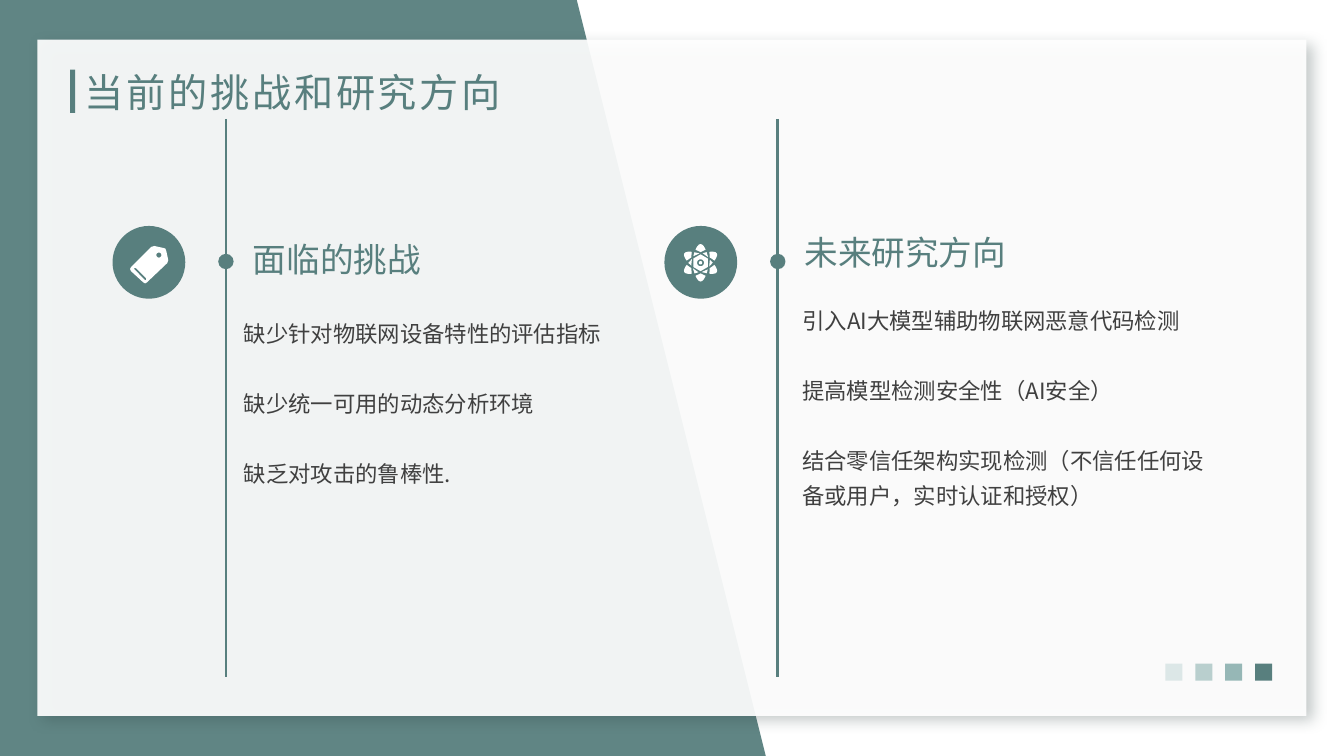
from dataclasses import dataclass
from math import cos, pi, sin

from lxml.etree import SubElement
from pptx import Presentation
from pptx.dml.color import RGBColor
from pptx.enum.shapes import MSO_CONNECTOR, MSO_SHAPE
from pptx.enum.text import MSO_ANCHOR
from pptx.oxml.ns import qn
from pptx.shapes.autoshape import Shape
from pptx.slide import Slide
from pptx.util import Pt

TEAL = RGBColor(0x58, 0x7F, 0x7E)
WHITE = RGBColor(0xFF, 0xFF, 0xFF)
DARK_GRAY = RGBColor(0x40, 0x40, 0x40)
SHADOW = RGBColor(0x2C, 0x40, 0x3F)
SQUARE_COLORS = (RGBColor(0xDC, 0xE7, 0xE7), RGBColor(0xB9, 0xCF, 0xCE),
                 RGBColor(0x96, 0xB7, 0xB6), TEAL)
FONT = "Noto Sans CJK SC"

Point = tuple[float, float]
Contour = list[Point]


@dataclass
class Section:
    """One timeline column; lengths are in points."""
    axis_x: float
    heading: str
    heading_box: tuple[float, float, float, float]
    items: list[str]
    items_box: tuple[float, float, float, float]
    icon: list[Contour]


def paint(shape: Shape, color: RGBColor, opacity: int = 100) -> Shape:
    shape.shadow.inherit = False
    shape.line.fill.background()
    shape.fill.solid()
    shape.fill.fore_color.rgb = color
    if opacity < 100:
        set_opacity(shape.fill._xPr.find(qn("a:solidFill"))[0], opacity)
    return shape


def set_opacity(color_element, percent: int) -> None:
    SubElement(color_element, qn("a:alpha")).set("val", str(percent * 1000))


def add_preset(page: Slide, kind: MSO_SHAPE, left: float, top: float, width: float,
               height: float, color: RGBColor, opacity: int = 100) -> Shape:
    shape = page.shapes.add_shape(kind, Pt(left), Pt(top), Pt(width), Pt(height))
    return paint(shape, color, opacity)


def add_disc(page: Slide, center: Point, diameter: float) -> None:
    x, y = center
    add_preset(page, MSO_SHAPE.OVAL, x - diameter / 2, y - diameter / 2,
               diameter, diameter, TEAL)


def add_outline(page: Slide, contours: list[Contour], color: RGBColor,
                opacity: int = 100) -> None:
    """Draw closed contours as one shape; inner contours become holes."""
    scaled = [[(Pt(x), Pt(y)) for x, y in contour] for contour in contours]
    builder = page.shapes.build_freeform(*scaled[0][0], scale=1.0)
    for index, contour in enumerate(scaled):
        if index:
            builder.move_to(*contour[0])
        builder.add_line_segments(contour[1:], close=True)
    paint(builder.convert_to_shape(), color, opacity)


def add_shadow(shape: Shape, color: RGBColor, opacity: int, blur: float,
               distance: float, degrees: int) -> None:
    effects = shape._element.spPr.find(qn("a:effectLst"))
    shadow = SubElement(effects, qn("a:outerShdw"), blurRad=str(Pt(blur)),
                        dist=str(Pt(distance)), dir=str(degrees * 60000),
                        algn="tl", rotWithShape="0")
    set_opacity(SubElement(shadow, qn("a:srgbClr"), val=str(color)), opacity)


def add_text(page: Slide, box_size: tuple[float, float, float, float], lines: list[str],
             *, size: float, color: RGBColor, wrap: bool = True, spacing: float = 1.0,
             gap: float = 0, tracking: float = 0,
             margins: tuple[float, float] = (0, 0),
             anchor: MSO_ANCHOR = MSO_ANCHOR.TOP) -> None:
    box = page.shapes.add_textbox(*(Pt(length) for length in box_size))
    frame = box.text_frame
    frame.word_wrap = wrap
    frame.vertical_anchor = anchor
    frame.margin_left = frame.margin_right = Pt(margins[0])
    frame.margin_top = frame.margin_bottom = Pt(margins[1])
    for index, line in enumerate(lines):
        para = frame.add_paragraph() if index else frame.paragraphs[0]
        para.line_spacing = spacing
        if index:
            para.space_before = Pt(gap)
        span = para.add_run()
        span.text = line
        span.font.size = Pt(size)
        span.font.color.rgb = color
        span.font.name = FONT
        properties = span.font._element
        SubElement(properties, qn("a:ea")).set("typeface", FONT)
        if tracking:
            properties.set("spc", str(round(tracking * 100)))


def ring(center: Point, radius: float, sides: int = 24) -> Contour:
    x, y = center
    return [(x + radius * sin(2 * pi * step / sides),
             y - radius * cos(2 * pi * step / sides)) for step in range(sides)]


def atom_icon(center: Point) -> list[Contour]:
    """Six petals and six gaps around a hexagonal core with a ringed nucleus."""
    half_petal = [(0, -7.6), (1.8, -8.5), (3.6, -9.3), (3.2, -10.3),
                  (2.3, -11.8), (1.2, -13), (0, -13.4)]
    petal = half_petal + [(-x, y) for x, y in half_petal[-2:0:-1]]
    gap = [(4.3, -7.6), (5.4, -4), (1.5, -6.8)]
    contours = []
    for turn in range(6):
        c, s = cos(turn * pi / 3), sin(turn * pi / 3)
        contours += [[(center[0] + x * c - y * s, center[1] + x * s + y * c)
                      for x, y in part] for part in (petal, gap)]
    return contours + [ring(center, 6, 6), ring(center, 2.5), ring(center, 1.2)]


TAG_ICON = [
    [(120.2, 185.8), (118.8, 179.3), (118.1, 177.5), (116.6, 177.1), (110.2, 175.7),
     (108, 176.4), (93.6, 190.8), (92.9, 192.2), (93.6, 193.7), (102.2, 201.6),
     (103.7, 202.5), (105.1, 201.6), (119.5, 187.9)],
    [(104.4, 200.2), (103.7, 200.2), (95.8, 192.2), (95.8, 191.5), (97.2, 191.5),
     (104.4, 198.7)],
    ring((113.5, 182.2), 1.8),
]

SECTIONS = [
    Section(555.6, "未来研究方向", (574.6, 165.6, 145.4, 28.8),
            ["引入AI大模型辅助物联网恶意代码检测", "提高模型检测安全性（AI安全）",
             "结合零信任架构实现检测（不信任任何设备或用户，实时认证和授权）"],
            (573.1, 213.8, 293.8, 149), atom_icon((500.4, 187.7))),
    Section(161.4, "面临的挑战", (180.7, 170.6, 121, 28.8),
            ["缺少针对物联网设备特性的评估指标", "缺少统一可用的动态分析环境",
             "缺乏对攻击的鲁棒性."],
            (174.2, 223.2, 281.5, 123.8), TAG_ICON),
]


def add_section(page: Slide, section: Section) -> None:
    axis = page.shapes.add_connector(MSO_CONNECTOR.STRAIGHT, Pt(section.axis_x), Pt(85),
                                     Pt(section.axis_x), Pt(483.8))
    axis.line.color.rgb = TEAL
    axis.line.width = Pt(2)
    SubElement(axis._element.spPr, qn("a:effectLst"))
    add_disc(page, (section.axis_x, 186.8), 11)
    add_disc(page, (section.axis_x - 55, 187.4), 52)
    add_outline(page, section.icon, WHITE)
    add_text(page, section.heading_box, [section.heading], size=24, color=TEAL, wrap=False)
    add_text(page, section.items_box, section.items, size=16, color=DARK_GRAY,
             spacing=1.3, gap=25)


def main() -> None:
    deck = Presentation()
    deck.slide_width, deck.slide_height = Pt(960), Pt(540)
    page = deck.slides.add_slide(deck.slide_layouts[6])

    add_outline(page, [[(0, 0), (412, 0), (547, 540), (0, 540)]], TEAL, 95)
    panel = add_preset(page, MSO_SHAPE.RECTANGLE, 26.8, 28.3, 906.4, 483.2, WHITE, 92)
    add_shadow(panel, SHADOW, opacity=30, blur=10, distance=6, degrees=45)
    for index, color in enumerate(SQUARE_COLORS):
        add_preset(page, MSO_SHAPE.RECTANGLE, 832.4 + 21.4 * index, 474, 12.2, 12.2, color)
    add_preset(page, MSO_SHAPE.RECTANGLE, 50, 49.7, 3.6, 31, TEAL)

    for section in SECTIONS:
        add_section(page, section)
    add_text(page, (53.3, 44.6, 378.7, 41.8), ["当前的挑战和研究方向"], size=28, color=TEAL,
             tracking=2, margins=(7.2, 3.6), anchor=MSO_ANCHOR.MIDDLE)
    deck.save("out.pptx")


if __name__ == "__main__":
    main()
